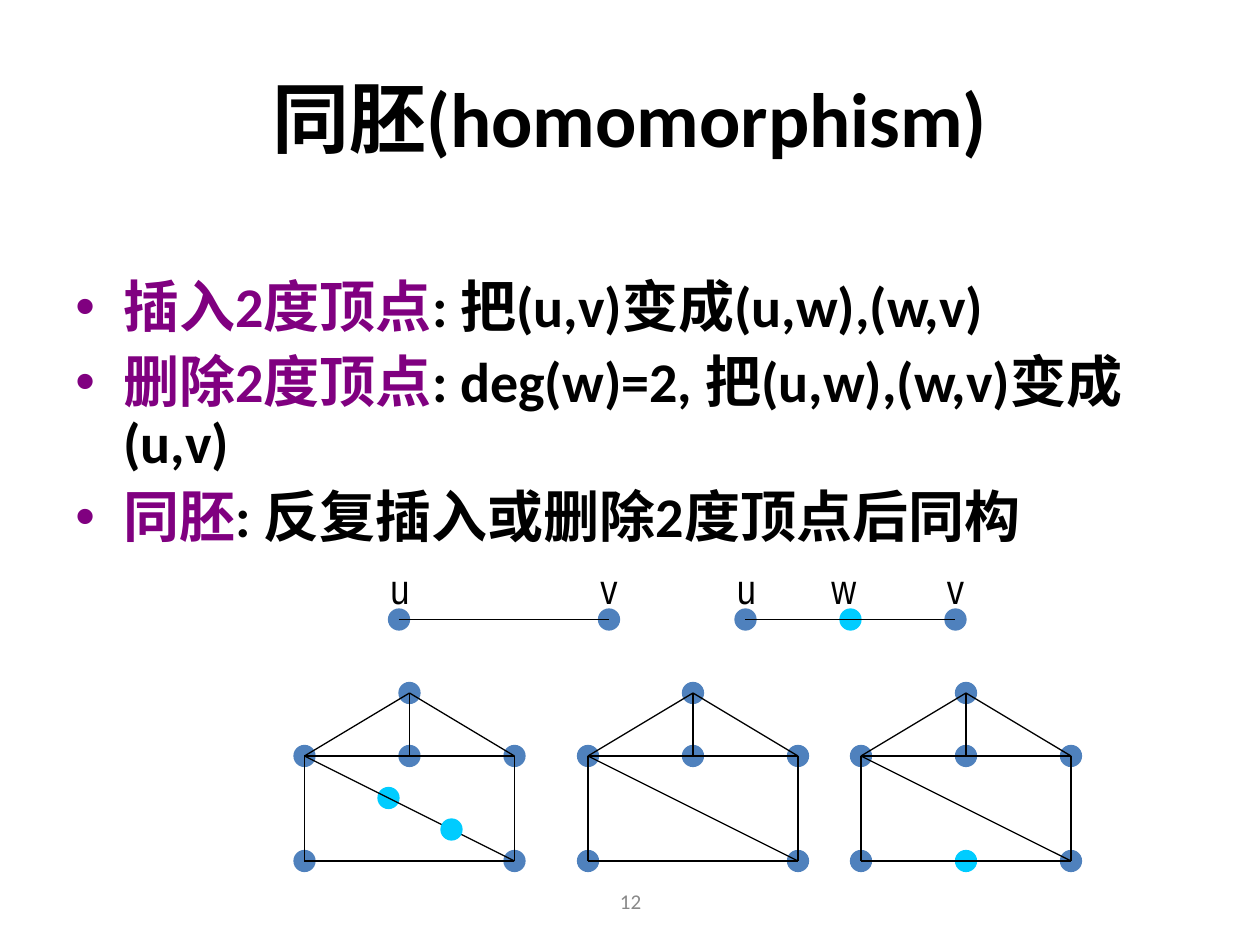
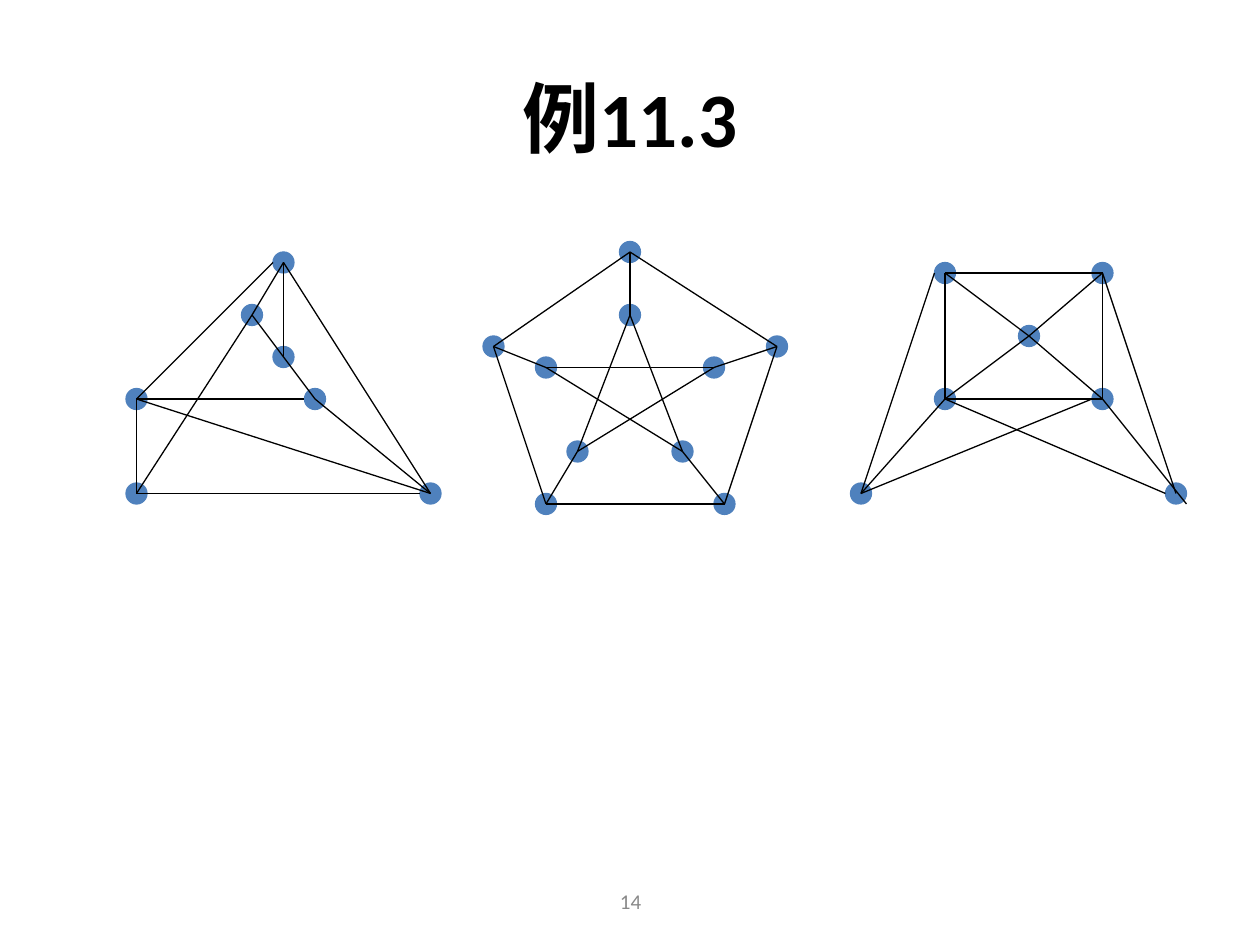
from lxml import etree
from pptx import Presentation
from pptx.dml.color import RGBColor
from pptx.enum.shapes import MSO_CONNECTOR, MSO_SHAPE
from pptx.enum.text import MSO_ANCHOR, PP_ALIGN
from pptx.oxml.ns import qn
from pptx.util import Inches, Pt

STRAIGHT, ELLIPSE = MSO_CONNECTOR.STRAIGHT, MSO_SHAPE.OVAL
CENTER, LEFT, MIDDLE = PP_ALIGN.CENTER, PP_ALIGN.LEFT, MSO_ANCHOR.MIDDLE

# Shared look
BLACK, PURPLE, GRAY = "000000", "800080", "898989"
VERTEX_BLUE, INSERTED_CYAN = "4F81BD", "00CCFF"
TITLE_FONT = {"name": "Calibri", "size": Pt(44), "bold": True}
BODY_FONT = {"name": "Calibri", "size": Pt(32), "bold": True}
NUMBER_FONT = {"name": "Calibri", "size": Pt(12)}
LABEL_FONT = {"name": "Arial Narrow", "size": Pt(24)}
BODY_PARAGRAPH = {"line_spacing": 0.9, "space_before": Pt(8)}
TITLE_BOX = (0.5, 0.3, 9, 1.25)
NUMBER_BOX = (3.42, 6.95, 3.17, 0.4)
BODY_BOX = (0.5, 2.17, 9, 2.36)
GRID = 12  # graph units per inch
DIAMETER = 2  # vertex size in graph units

# Content of the definition slide
DEFINITIONS = [
    ("插入2度顶点", ": 把(u,v)变成(u,w),(w,v)"),
    ("删除2度顶点", ": deg(w)=2, 把(u,w),(w,v)变成(u,v)"),
    ("同胚", ": 反复插入或删除2度顶点后同构"),
]

# Graphs: vertices and line ends are in graph units from the origin.
# Edges name their two ends; "ends" are line ends beside a vertex;
# "inserted" lies under the lines and "covering" above them.
HOUSE = {
    "vertices": {"a": (0, 0), "m": (10, 0), "b": (20, 0),
                 "c": (0, 10), "d": (20, 10), "t": (10, -6)},
    "edges": "ac ad bd cd ab at tb tm",
}
SEGMENT = {"vertices": {"u": (0, 0), "v": (20, 0)}, "edges": "uv", "labeled": True}

DEFINITION_GRAPHS = [
    {**HOUSE, "origin": (29, 72), "inserted": {"w": (8, 4)}, "covering": {"x": (14, 7)}},
    {**HOUSE, "origin": (56, 72)},
    {**HOUSE, "origin": (82, 72), "inserted": {"w": (10, 10)}},
    {**SEGMENT, "origin": (38, 59)},
    {**SEGMENT, "origin": (71, 59), "inserted": {"w": (10, 0)}},
]

EXAMPLE_GRAPHS = [
    {   # nested triangles
        "vertices": {"t": (27, 25), "b": (24, 30), "c": (27, 34), "d": (30, 38),
                     "e": (13, 38), "f": (13, 47), "g": (41, 47)},
        "ends": {"G": (40, 47), "D": (29, 38), "T": (26, 25)},
        "edges": "ef fG eD dg bc cd bt eg eT tg fb tc",
    },
    {   # pentagon around a star, outer a-e and inner p-t
        "vertices": {"a": (60, 24), "b": (74, 33), "c": (69, 48), "d": (52, 48),
                     "e": (47, 33), "p": (60, 30), "q": (68, 35), "r": (65, 43),
                     "s": (55, 43), "t": (52, 35)},
        "edges": "ab bc cd de ea ap bq cr ds et pr rt tq qs sp",
    },
    {   # square with centre m and two feet
        "vertices": {"a": (90, 26), "b": (105, 26), "c": (105, 38), "d": (90, 38),
                     "m": (98, 32), "l": (82, 47), "r": (112, 47)},
        "ends": {"A": (89, 26), "C": (104, 38), "R": (113, 48), "F": (111, 47)},
        "edges": "ad bc ab dc Al dl br cR am mc dm mb lC dF",
    },
]

SLIDES = [
    ("同胚(homomorphism)", "12", DEFINITIONS, DEFINITION_GRAPHS),
    ("例11.3", "14", [], EXAMPLE_GRAPHS),
]


def rgb(value):
    return RGBColor.from_string(value)


def apply(target, values):
    for name, value in values.items():
        setattr(target, name, value)


def add_run(paragraph, text, font, color):
    run = paragraph.add_run()
    run.text = text
    apply(run.font, font)
    run.font.color.rgb = rgb(color)


def add_frame(slide, box):
    frame = slide.shapes.add_textbox(*map(Inches, box)).text_frame
    frame.word_wrap = True
    return frame


def write_line(frame, text, font, color, align):
    frame.vertical_anchor = MIDDLE
    frame.paragraphs[0].alignment = align
    add_run(frame.paragraphs[0], text, font, color)


def add_bullet(paragraph, color):
    properties = paragraph._p.get_or_add_pPr()
    properties.set("marL", str(Inches(0.38)))
    properties.set("indent", str(-Inches(0.38)))
    bullet_color = etree.SubElement(properties, qn("a:buClr"))
    etree.SubElement(bullet_color, qn("a:srgbClr"), val=color)
    etree.SubElement(properties, qn("a:buFont"), typeface="Arial")
    etree.SubElement(properties, qn("a:buChar"), char="•")


def add_definitions(slide, definitions):
    frame = add_frame(slide, BODY_BOX)
    for index, (term, meaning) in enumerate(definitions):
        paragraph = frame.add_paragraph() if index else frame.paragraphs[0]
        apply(paragraph, BODY_PARAGRAPH)
        add_bullet(paragraph, PURPLE)
        add_run(paragraph, term, BODY_FONT, PURPLE)
        add_run(paragraph, meaning, BODY_FONT, BLACK)


def add_vertex(slide, center, color):
    left, top = (Inches((c - DIAMETER / 2) / GRID) for c in center)
    size = Inches(DIAMETER / GRID)
    vertex = slide.shapes.add_shape(ELLIPSE, left, top, size, size)
    vertex.shadow.inherit = False
    vertex.fill.solid()
    vertex.fill.fore_color.rgb = vertex.line.color.rgb = rgb(color)
    vertex.line.width = Pt(0.75)


def add_edge(slide, start, end):
    ends = [Inches(c / GRID) for c in (*start, *end)]
    edge = slide.shapes.add_connector(STRAIGHT, *ends)
    edge.line.color.rgb = rgb(BLACK)
    edge.line.width = Pt(0.75)
    etree.SubElement(edge._element.spPr, qn("a:effectLst"))


def add_label(slide, name, center):
    half = 3 if name == "w" else 2
    width = 5 if name == "w" else 4
    box = [c / GRID for c in (center[0] - half, center[1] - 6, width, 6)]
    write_line(add_frame(slide, box), name, LABEL_FONT, BLACK, LEFT)


def add_graph(slide, graph):
    dx, dy = graph.get("origin", (0, 0))

    def placed(part):
        return {k: (x + dx, y + dy) for k, (x, y) in graph.get(part, {}).items()}

    vertices, inserted = placed("vertices"), placed("inserted")
    points = {**vertices, **inserted, **placed("ends")}
    for center in vertices.values():
        add_vertex(slide, center, VERTEX_BLUE)
    for center in inserted.values():
        add_vertex(slide, center, INSERTED_CYAN)
    for start, end in graph["edges"].split():
        add_edge(slide, points[start], points[end])
    for center in placed("covering").values():
        add_vertex(slide, center, INSERTED_CYAN)
    if graph.get("labeled"):
        for name, center in points.items():
            add_label(slide, name, center)


def add_slide(deck, title_text, number, definitions, graphs):
    slide = deck.slides.add_slide(deck.slide_layouts[5])
    # Title and page number
    title = slide.shapes.title
    apply(title, dict(zip(("left", "top", "width", "height"), map(Inches, TITLE_BOX))))
    write_line(title.text_frame, title_text, TITLE_FONT, BLACK, CENTER)
    write_line(add_frame(slide, NUMBER_BOX), number, NUMBER_FONT, GRAY, CENTER)
    # Text and graphs
    if definitions:
        add_definitions(slide, definitions)
    for graph in graphs:
        add_graph(slide, graph)


def main():
    deck = Presentation()
    deck.slide_width, deck.slide_height = Inches(10), Inches(7.5)
    for content in SLIDES:
        add_slide(deck, *content)
    deck.save("out.pptx")


if __name__ == "__main__":
    main()
